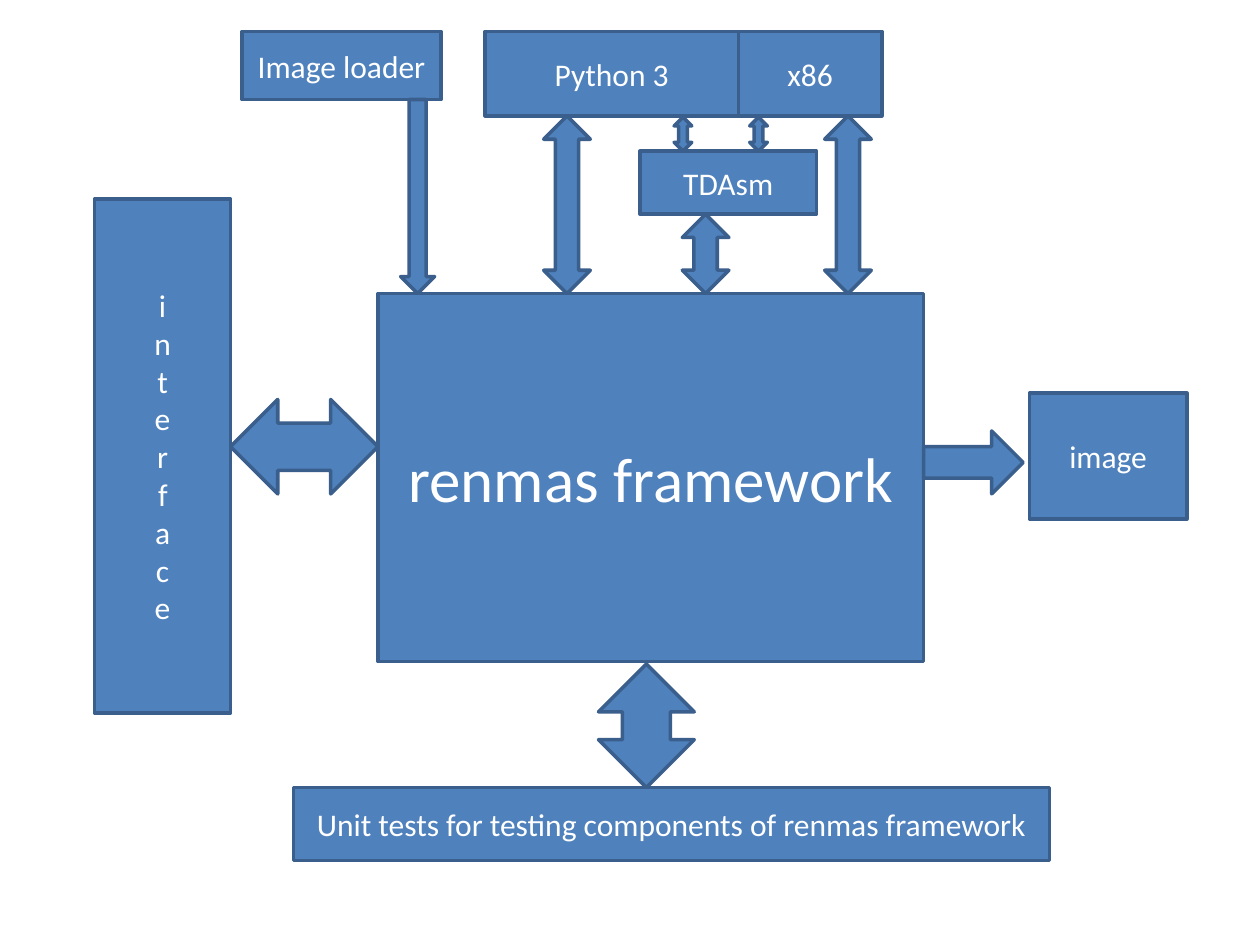
from pptx import Presentation
from pptx.dml.color import RGBColor
from pptx.enum.shapes import MSO_SHAPE
from pptx.enum.text import MSO_ANCHOR, PP_ALIGN
from pptx.util import Inches, Pt

RECTANGLE = MSO_SHAPE.RECTANGLE
DOUBLE_ARROW = MSO_SHAPE.LEFT_RIGHT_ARROW
RIGHT_ARROW = MSO_SHAPE.RIGHT_ARROW
DOWN_ARROW = MSO_SHAPE.DOWN_ARROW
CENTER = PP_ALIGN.CENTER
MIDDLE = MSO_ANCHOR.MIDDLE
BLANK_LAYOUT = 6

FILL = "4F81BD"
OUTLINE = "3A5F8C"
TEXT = "FFFFFF"
FONT = "Calibri"

FRAMEWORK_TOP = 2.33


def color(value):
    return RGBColor.from_string(value)


def add_block(slide, kind, left, top, width, height):
    shape = slide.shapes.add_shape(
        kind, Inches(left), Inches(top), Inches(width), Inches(height)
    )
    shape.shadow.inherit = False
    shape.fill.solid()
    shape.fill.fore_color.rgb = color(FILL)
    shape.line.color.rgb = color(OUTLINE)
    shape.line.width = Pt(2)
    return shape


def add_box(slide, text, left, top, width, height, size=18, stacked=False):
    shape = add_block(slide, RECTANGLE, left, top, width, height)
    frame = shape.text_frame
    frame.word_wrap = True
    frame.vertical_anchor = MIDDLE
    if stacked:
        frame._txBody.bodyPr.set("vert", "wordArtVert")
    paragraph = frame.paragraphs[0]
    paragraph.alignment = CENTER
    run = paragraph.add_run()
    run.text = text
    run.font.name = FONT
    run.font.size = Pt(size)
    run.font.color.rgb = color(TEXT)


def add_vertical_arrow(slide, center, top, bottom, breadth):
    length = bottom - top
    middle = (top + bottom) / 2
    shape = add_block(
        slide, DOUBLE_ARROW, center - length / 2, middle - breadth / 2, length, breadth
    )
    shape.rotation = 90


def main():
    presentation = Presentation()
    presentation.slide_width = Inches(10)
    presentation.slide_height = Inches(7.5)
    slide = presentation.slides.add_slide(presentation.slide_layouts[BLANK_LAYOUT])

    add_box(slide, "renmas framework", 3, FRAMEWORK_TOP, 4.33, 2.92, size=36)
    add_box(slide, "interface", 0.75, 1.58, 1.08, 4.08, stacked=True)
    add_block(slide, DOUBLE_ARROW, 1.83, 3.17, 1.17, 0.75)
    add_box(
        slide, "Unit tests for testing components of renmas framework", 2.33, 6.25, 6, 0.58
    )
    add_box(slide, "image", 8.17, 3.12, 1.25, 1)
    add_block(slide, RIGHT_ARROW, 7.33, 3.42, 0.79, 0.5)
    add_vertical_arrow(slide, 5.13, 5.27, 6.25, 0.76)

    add_box(slide, "Python 3", 3.85, 0.25, 2.01, 0.67)
    add_box(slide, "x86", 5.86, 0.25, 1.14, 0.67)
    add_box(slide, "TDAsm", 5.08, 1.2, 1.4, 0.5)
    for center in (4.5, 6.73):
        add_vertical_arrow(slide, center, 0.92, FRAMEWORK_TOP, 0.37)
    add_vertical_arrow(slide, 5.6, 1.7, FRAMEWORK_TOP, 0.37)
    for center in (5.42, 6.02):
        add_vertical_arrow(slide, center, 0.93, 1.2, 0.14)

    add_box(slide, "Image loader", 1.92, 0.25, 1.58, 0.54)
    add_block(slide, DOWN_ARROW, 3.18, 0.79, 0.27, FRAMEWORK_TOP - 0.79)

    presentation.save("out.pptx")


main()
